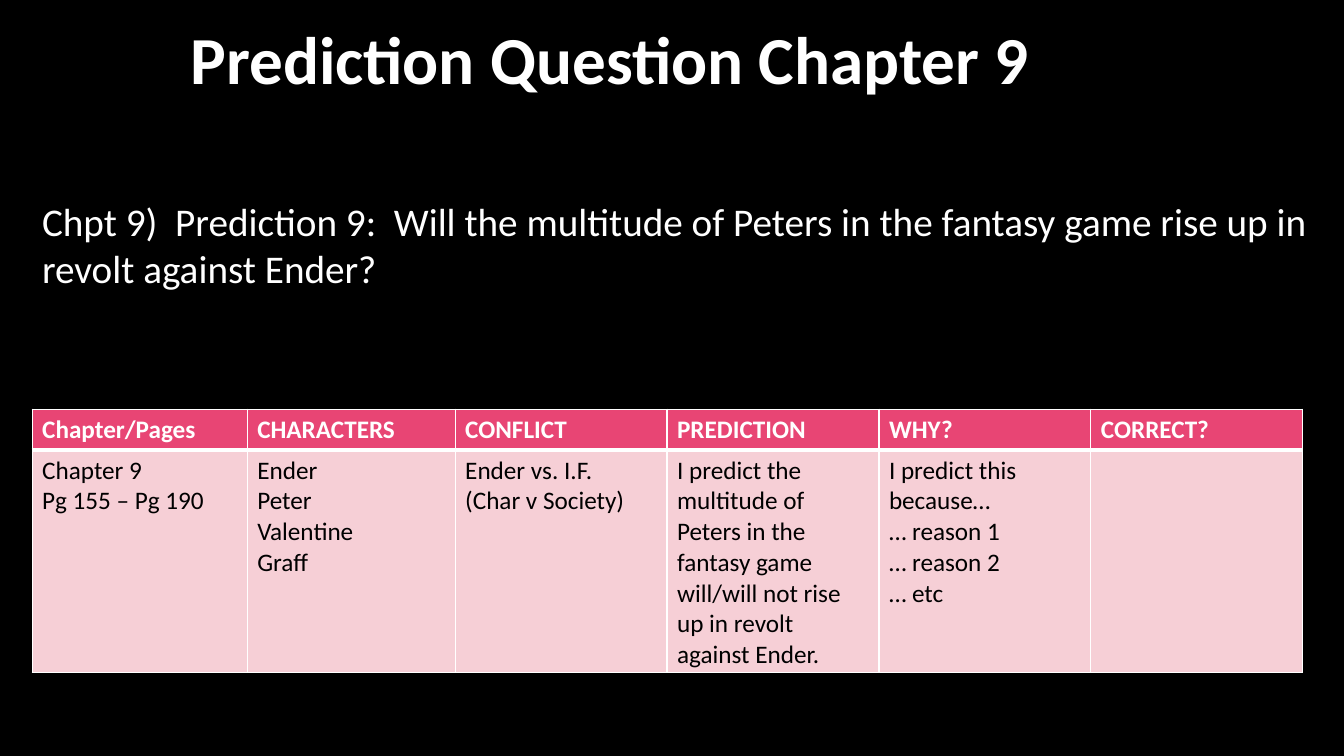
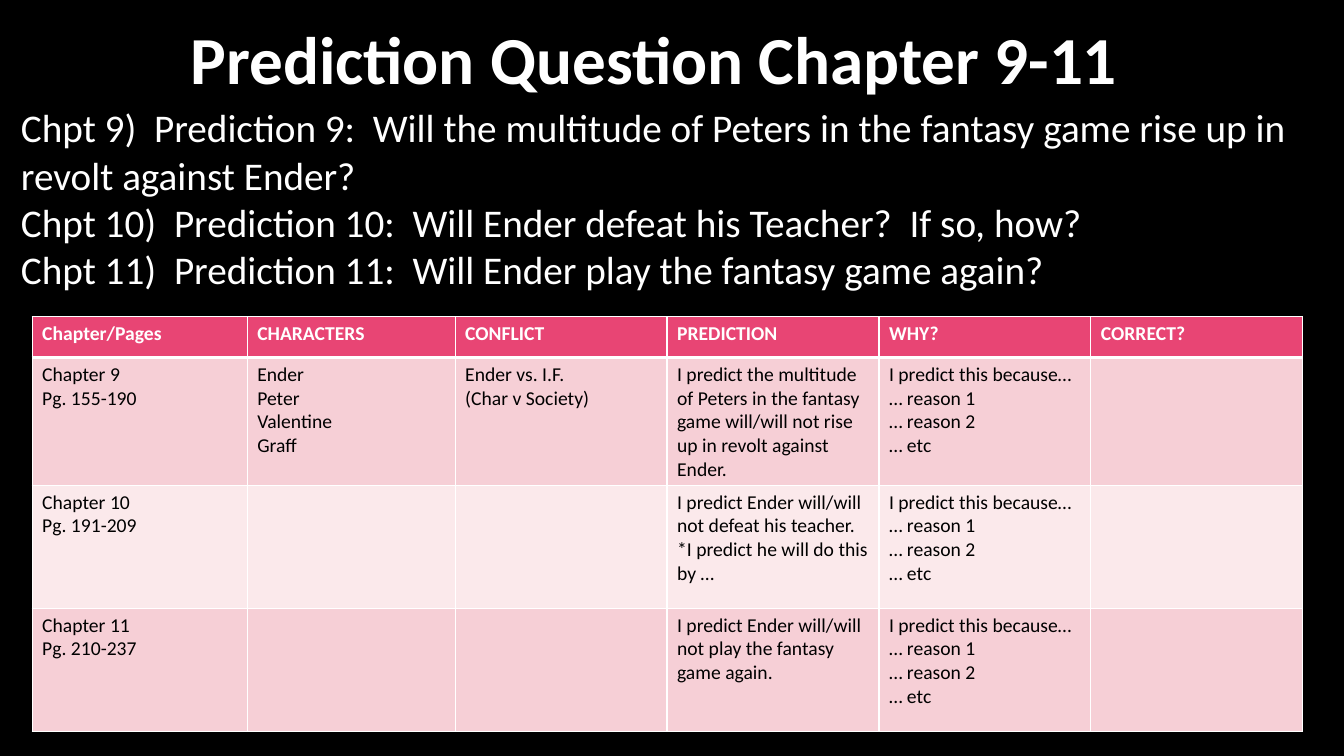
import pptx
import pptx.dml.color
import pptx.enum.text
import pptx.oxml
import pptx.oxml.ns
import pptx.util
from pptx.util import Cm

RGBColor = pptx.dml.color.RGBColor
BLACK = RGBColor(0x00, 0x00, 0x00)
WHITE = RGBColor(0xFF, 0xFF, 0xFF)
PINK = RGBColor(0xE8, 0x45, 0x74)
BANDS = (RGBColor(0xF6, 0xCF, 0xD6), RGBColor(0xFB, 0xE9, 0xEB))

FONT = "Calibri"
TABLE_LEFT = Cm(0.81)
COLUMNS = [Cm(5.42), Cm(5.24)] + [Cm(5.34)] * 4
HEADER_HEIGHT = Cm(1.03)
THIN, THICK = pptx.util.Pt(1), pptx.util.Pt(3)

HEADINGS = ("Chapter/Pages", "CHARACTERS", "CONFLICT", "PREDICTION", "WHY?", "CORRECT?")
QUESTION_9 = ("Chpt 9)  Prediction 9:  Will the multitude of Peters in the fantasy game "
              "rise up in revolt against Ender?")
QUESTIONS_10_11 = ("Chpt 10)  Prediction 10:  Will Ender defeat his Teacher?  If so, how?\n"
                   "Chpt 11)  Prediction 11:  Will Ender play the fantasy game again?")
PREDICTION_9 = ("I predict the multitude of Peters in the fantasy game will/will not "
                "rise up in revolt against Ender.")
PREDICTION_10 = ("I predict Ender will/will not defeat his teacher.  "
                 "*I predict he will do this by …")
PREDICTION_11 = "I predict Ender will/will not play the fantasy game again."
REASONS = "I predict this because…\n… reason 1\n… reason 2\n… etc"


def chapter_row(pages, prediction, characters="", conflict=""):
    return pages, characters, conflict, prediction, REASONS, ""


def chapter_9_row(pages):
    return chapter_row(f"Chapter 9\n{pages}", PREDICTION_9,
                       "Ender\nPeter\nValentine\nGraff", "Ender vs. I.F.\n(Char v Society)")


class Worksheet:
    """Holds the deck, its style and the page being filled."""

    def __init__(self):
        self.deck = pptx.Presentation()
        self.deck.slide_width, self.deck.slide_height = Cm(33.87), Cm(19.05)
        self.page = None

    def add_page(self):
        self.page = self.deck.slides.add_slide(self.deck.slide_layouts[6])
        background = self.page.background.fill
        background.solid()
        background.fore_color.rgb = BLACK

    def set_text(self, frame, text, size, color, bold=False):
        frame.text = text
        for para in frame.paragraphs:
            para.font.name = FONT
            para.font.size = pptx.util.Pt(size)
            para.font.bold = bold
            para.font.color.rgb = color

    def add_text(self, text, left, top, width, height, size, bold=False, wrap=True):
        frame = self.page.shapes.add_textbox(left, top, width, height).text_frame
        frame.word_wrap = wrap
        frame.auto_size = pptx.enum.text.MSO_AUTO_SIZE.SHAPE_TO_FIT_TEXT
        self.set_text(frame, text, size, WHITE, bold)

    def add_title(self, text, width):
        self.add_text(text, Cm(4.55), Cm(0.3), width, Cm(2.31), 48, bold=True, wrap=False)

    def add_questions(self, text, left, top, height):
        self.add_text(text, left, top, Cm(33.05), height, 28)

    def add_borders(self, cell, top, bottom):
        properties = cell._tc.get_or_add_tcPr()
        for side, width in (("L", THIN), ("R", THIN), ("T", top), ("B", bottom)):
            properties.append(pptx.oxml.parse_xml(
                f'<a:ln{side} {pptx.oxml.ns.nsdecls("a")} w="{width}"><a:solidFill>'
                f'<a:srgbClr val="{WHITE}"/></a:solidFill></a:ln{side}>'))

    def add_table(self, rows, top, row_height, size):
        height = HEADER_HEIGHT + row_height * len(rows)
        table = self.page.shapes.add_table(len(rows) + 1, len(COLUMNS), TABLE_LEFT, top,
                                           sum(COLUMNS), height).table
        table.first_row = table.horz_banding = False
        for column, width in zip(table.columns, COLUMNS):
            column.width = width
        for index, texts in enumerate([HEADINGS, *rows]):
            header = index == 0
            table.rows[index].height = HEADER_HEIGHT if header else row_height
            for cell, text in zip(table.rows[index].cells, texts):
                self.add_borders(cell, THICK if index == 1 else THIN, THICK if header else THIN)
                cell.fill.solid()
                cell.fill.fore_color.rgb = PINK if header else BANDS[(index - 1) % 2]
                self.set_text(cell.text_frame, text, size, WHITE if header else BLACK, header)


def main():
    sheet = Worksheet()

    sheet.add_page()
    sheet.add_title("Prediction Question Chapter 9", Cm(21.87))
    sheet.add_table([chapter_9_row("Pg 155 – Pg 190")], Cm(10.31), Cm(5.6), 18)
    sheet.add_questions(QUESTION_9, TABLE_LEFT, Cm(4.85), Cm(2.64))

    sheet.add_page()
    sheet.add_title("Prediction Question Chapter 9-11", Cm(24.13))
    sheet.add_table([chapter_9_row("Pg. 155-190"),
                     chapter_row("Chapter 10\nPg. 191-209", PREDICTION_10),
                     chapter_row("Chapter 11\nPg. 210-237", PREDICTION_11)],
                    Cm(7.98), Cm(3.1), 14)
    sheet.add_questions(f"{QUESTION_9}\n{QUESTIONS_10_11}", Cm(0.28), Cm(2.49), Cm(5.05))

    sheet.deck.save("out.pptx")


if __name__ == "__main__":
    main()
